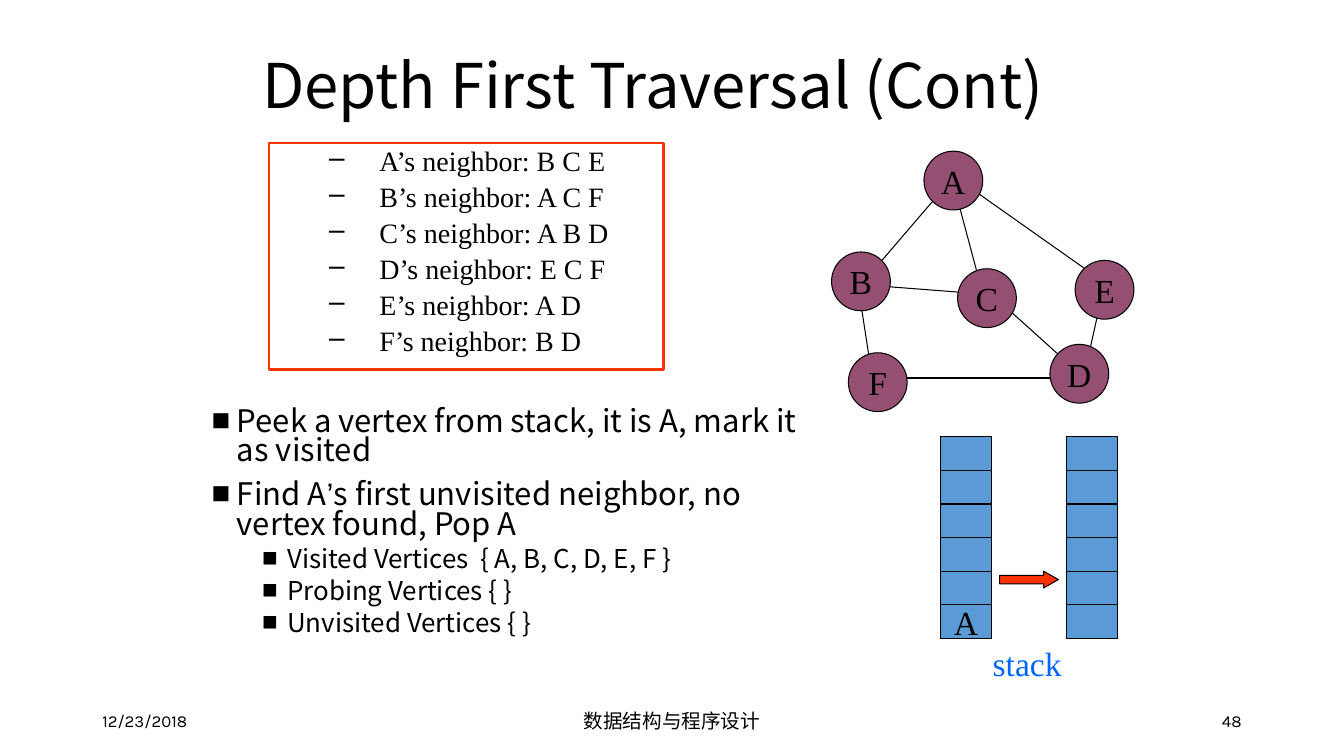
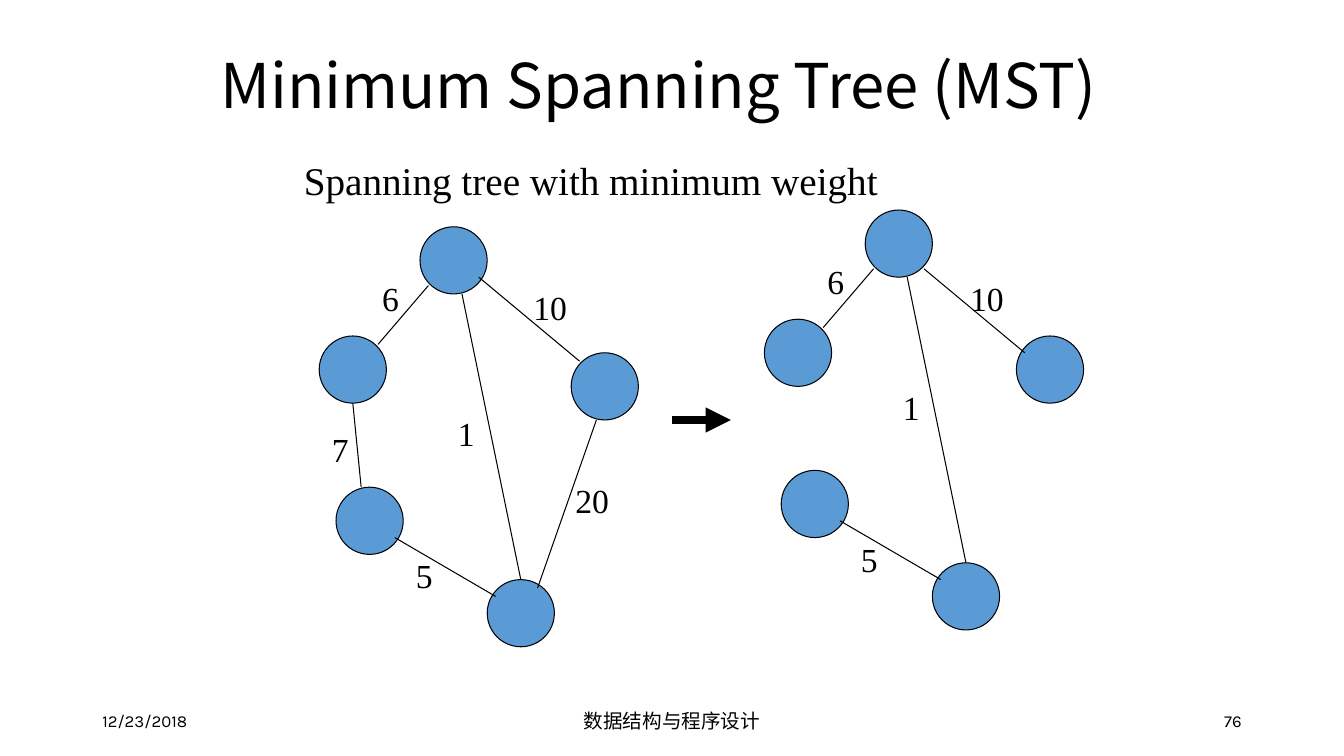
from dataclasses import dataclass, replace

from lxml.etree import SubElement
from pptx import Presentation
from pptx.dml.color import RGBColor as Rgb
from pptx.enum.shapes import MSO_CONNECTOR as Connector, MSO_SHAPE as Preset
from pptx.enum.text import MSO_ANCHOR as Anchor, MSO_AUTO_SIZE as AutoSize, PP_ALIGN as Align
from pptx.oxml.ns import qn
from pptx.util import Cm, Pt


@dataclass(frozen=True)
class Theme:
    black: Rgb = Rgb(0x00, 0x00, 0x00)
    blue: Rgb = Rgb(0x5B, 0x9B, 0xD5)
    plum: Rgb = Rgb(0x95, 0x4F, 0x72)
    red: Rgb = Rgb(0xFF, 0x33, 0x00)
    link: Rgb = Rgb(0x00, 0x66, 0xFF)
    sans: str = "Noto Sans CJK SC"
    serif: str = "Times New Roman"
    footer: str = "Karla"
    apostrophe: str = "Arial"
    title_size: float = 44
    caption_size: float = 28
    label_size: float = 24
    point_size: float = 22.2
    list_size: float = 20
    detail_size: float = 18.5
    course_size: float = 14
    footer_size: float = 12
    hairline: float = 0.75


@dataclass(frozen=True)
class Edge:
    start: tuple
    end: tuple
    weight: str = ""
    label_at: tuple = (0, 0)


THEME = Theme()
COURSE = "数据结构与程序设计"
DATE = "12/23/2018"

# All positions count twelfths of an inch, the grid of the 160 by 90 page.
STACK_DEPTH = 6
CELL_WIDTH, CELL_HEIGHT = 6, 4

NEIGHBORS = {"A": "B C E", "B": "A C F", "C": "A B D",
             "D": "E C F", "E": "A D", "F": "B D"}
POINTS = [
    (0, "Peek a vertex from stack, it is A, mark it as visited"),
    (0, "Find A’s first unvisited neighbor, no vertex found, Pop A"),
    (1, "Visited Vertices  { A, B, C, D, E, F }"),
    (1, "Probing Vertices { }"),
    (1, "Unvisited Vertices { }"),
]

LETTER_NODES = [("A", 11, 0), ("B", 0, 12), ("C", 15, 14),
                ("E", 29, 13), ("F", 2, 24), ("D", 26, 23)]
LETTER_EDGES = [
    Edge((5, 16), (18, 17)), Edge((12, 6), (6, 13)),
    Edge((14, 2), (18, 17)), Edge((16, 4), (33, 16)),
    Edge((3, 15), (5, 28)), Edge((32, 18), (30, 27)),
    Edge((19, 17), (29, 26)), Edge((7, 27), (28, 27)),
]

WEIGHTED_NODES = [("", 12, 0), ("", 0, 13), ("", 2, 31), ("", 20, 42), ("", 30, 15)]
SIX = Edge((13, 7), (7, 14), "6", (6, 6))
SEVEN = Edge((4, 21), (5, 31), "7", (0, 24))
FIVE = Edge((9, 37), (21, 44), "5", (10, 39))
ONE = Edge((17, 8), (24, 42), "1", (15, 22))
TEN = Edge((19, 6), (31, 16), "10", (25, 7))
TWENTY = Edge((33, 23), (26, 43), "20", (30, 30))
GRAPH_EDGES = [SIX, SEVEN, FIVE, ONE, TEN, TWENTY]
TREE_EDGES = [SIX, FIVE, replace(ONE, label_at=(15, 21)),
              Edge((19, 7), (31, 17), "10", (24, 8))]


def grid(units):
    return Cm(units * 2.54 / 12)


def place(shape, box):
    shape.left, shape.top, shape.width, shape.height = map(grid, box)


def set_font(para, size, name=THEME.serif, color=THEME.black):
    para.font.size = Pt(size)
    para.font.name = name
    para.font.color.rgb = color


def set_bullet(para, mark, left, hanging):
    """Call before the paragraph font is set, so the XML order stays valid."""
    properties = para._p.get_or_add_pPr()
    properties.set("marL", str(grid(left)))
    properties.set("indent", str(-grid(hanging)))
    SubElement(properties, qn("a:buChar")).set("char", mark)


def add_text(shapes, box, text, size, name=THEME.serif, color=THEME.black,
             align=Align.LEFT, anchor=Anchor.MIDDLE):
    frame = shapes.add_textbox(*map(grid, box)).text_frame
    frame.word_wrap = True
    frame.vertical_anchor = anchor
    para = frame.paragraphs[0]
    para.text = text
    para.alignment = align
    set_font(para, size, name, color)
    return frame


def add_weight(shapes, left, top, text):
    """Add an edge weight without side margins, so two digits stay on one line."""
    frame = add_text(shapes, (left, top, 5, 5), text, THEME.label_size, align=Align.CENTER)
    frame.margin_left = frame.margin_right = 0
    frame.word_wrap = False


def add_block(shapes, preset, box, fill=None, line=THEME.black,
              width=THEME.hairline, text=""):
    block = shapes.add_shape(preset, *map(grid, box))
    block.shadow.inherit = False
    if fill is None:
        block.fill.background()
    else:
        block.fill.solid()
        block.fill.fore_color.rgb = fill
    block.line.color.rgb = line
    block.line.width = Pt(width)
    if text:
        frame = block.text_frame
        frame.word_wrap = False
        frame.vertical_anchor = Anchor.MIDDLE
        para = frame.paragraphs[0]
        para.text = text
        para.alignment = Align.CENTER
        set_font(para, THEME.label_size)
    return block


def add_line(shapes, start, end, width=THEME.hairline, arrow=False):
    line = shapes.add_connector(Connector.STRAIGHT, *map(grid, (*start, *end)))
    line.line.color.rgb = THEME.black
    line.line.width = Pt(width)
    properties = line._element.spPr
    if arrow:
        SubElement(properties.get_or_add_ln(), qn("a:tailEnd")).set("type", "triangle")
    SubElement(properties, qn("a:effectLst"))


def add_page(deck, layout, title, title_box, number):
    """Add a slide with the shared title style and footers."""
    page = deck.slides.add_slide(deck.slide_layouts.get_by_name(layout))
    heading = page.shapes.title
    place(heading, title_box)
    frame = heading.text_frame
    frame.text = title
    frame.auto_size = AutoSize.NONE
    frame.vertical_anchor = Anchor.MIDDLE
    para = frame.paragraphs[0]
    para.alignment = Align.LEFT
    para.line_spacing = 0.9
    set_font(para, THEME.title_size, THEME.sans)

    for left, width, text, size, align in [
        (11, 36, DATE, THEME.footer_size, Align.LEFT),
        (53, 54, COURSE, THEME.course_size, Align.CENTER),
        (113, 36, str(number), THEME.footer_size, Align.RIGHT),
    ]:
        add_text(page.shapes, (left, 83.4, width, 4.8), text, size, THEME.footer, align=align)
    return page


def fill_points(body, box):
    place(body, box)
    frame = body.text_frame
    frame.auto_size = AutoSize.NONE
    for index, (level, text) in enumerate(POINTS):
        para = frame.add_paragraph() if index else frame.paragraphs[0]
        para.level = level
        set_bullet(para, "■", 9 if level else 3, 3)
        para.line_spacing = 0.8
        para.space_before = Pt(5 if level else 10)
        set_font(para, THEME.detail_size if level else THEME.point_size, THEME.sans)
        before, mark, after = text.partition("’")
        para.add_run().text = before
        if mark:
            span = para.add_run()
            span.text = mark
            span.font.name = THEME.apostrophe
            para.add_run().text = after


def add_neighbor_list(shapes, box):
    frame = add_block(shapes, Preset.RECTANGLE, box, line=THEME.red, width=1.5).text_frame
    frame.word_wrap = True
    frame.vertical_anchor = Anchor.TOP
    for index, (vertex, neighbors) in enumerate(NEIGHBORS.items()):
        para = frame.add_paragraph() if index else frame.paragraphs[0]
        para.text = f"{vertex}’s neighbor: {neighbors}"
        para.level = 1
        para.alignment = Align.LEFT
        set_bullet(para, "–", 12, 6)
        para.line_spacing = 0.9
        para.space_before = Pt(4)
        set_font(para, THEME.list_size)


def add_nodes(shapes, left, top, nodes, size, fill):
    for name, x, y in nodes:
        add_block(shapes, Preset.OVAL, (left + x, top + y, size, size), fill, text=name)


def add_edges(shapes, left, top, edges):
    for edge in edges:
        (x1, y1), (x2, y2) = edge.start, edge.end
        add_line(shapes, (left + x1, top + y1), (left + x2, top + y2))
        if edge.weight:
            x, y = edge.label_at
            add_weight(shapes, left + x, top + y, edge.weight)


def add_weighted_graph(page, left, top, edges):
    shapes = page.shapes.add_group_shape().shapes
    add_nodes(shapes, left, top, WEIGHTED_NODES, 8, THEME.blue)
    add_edges(shapes, left, top, edges)


def add_stack(shapes, left, top, bottom_text=""):
    for row in range(STACK_DEPTH):
        text = bottom_text if row == STACK_DEPTH - 1 else ""
        cell = (left, top + row * CELL_HEIGHT, CELL_WIDTH, CELL_HEIGHT)
        add_block(shapes, Preset.RECTANGLE, cell, THEME.blue, text=text)


def add_stack_change(shapes, left, top):
    """Show the stack before and after the pop."""
    add_stack(shapes, left, top, "A")
    add_stack(shapes, left + 15, top)
    arrow = add_block(shapes, Preset.RIGHT_ARROW, (left + 7, top + 16, 7, 2), THEME.red)
    arrow.adjustments[0] = 0.5
    arrow.adjustments[1] = 0.88
    add_text(shapes, (left + 5, top + 24, 11, 6), "stack", THEME.label_size,
             color=THEME.link, anchor=Anchor.TOP)


def build_traversal(deck):
    page = add_page(deck, "Title and Content", "Depth First Traversal (Cont)",
                    (30, 3, 102, 15), 48)
    fill_points(page.placeholders[1], (24, 48, 73, 30))
    add_neighbor_list(page.shapes, (32, 17, 47, 27))
    add_edges(page.shapes, 99, 18, LETTER_EDGES)
    add_nodes(page.shapes, 99, 18, LETTER_NODES, 7, THEME.plum)
    add_stack_change(page.shapes, 112, 52)


def build_spanning_tree(deck):
    page = add_page(deck, "Title Only", "Minimum Spanning Tree (MST)",
                    (25, 3, 111, 15), 76)
    add_weighted_graph(page, 38, 27, GRAPH_EDGES)
    add_line(page.shapes, (80, 50), (87, 50), width=6, arrow=True)
    add_weighted_graph(page, 91, 25, TREE_EDGES)
    add_text(page.shapes, (35, 18, 103, 6.8), "Spanning tree with minimum weight",
             THEME.caption_size, anchor=Anchor.TOP)


def main():
    deck = Presentation()
    deck.slide_width, deck.slide_height = grid(160), grid(90)
    build_traversal(deck)
    build_spanning_tree(deck)
    deck.save("out.pptx")


if __name__ == "__main__":
    main()
